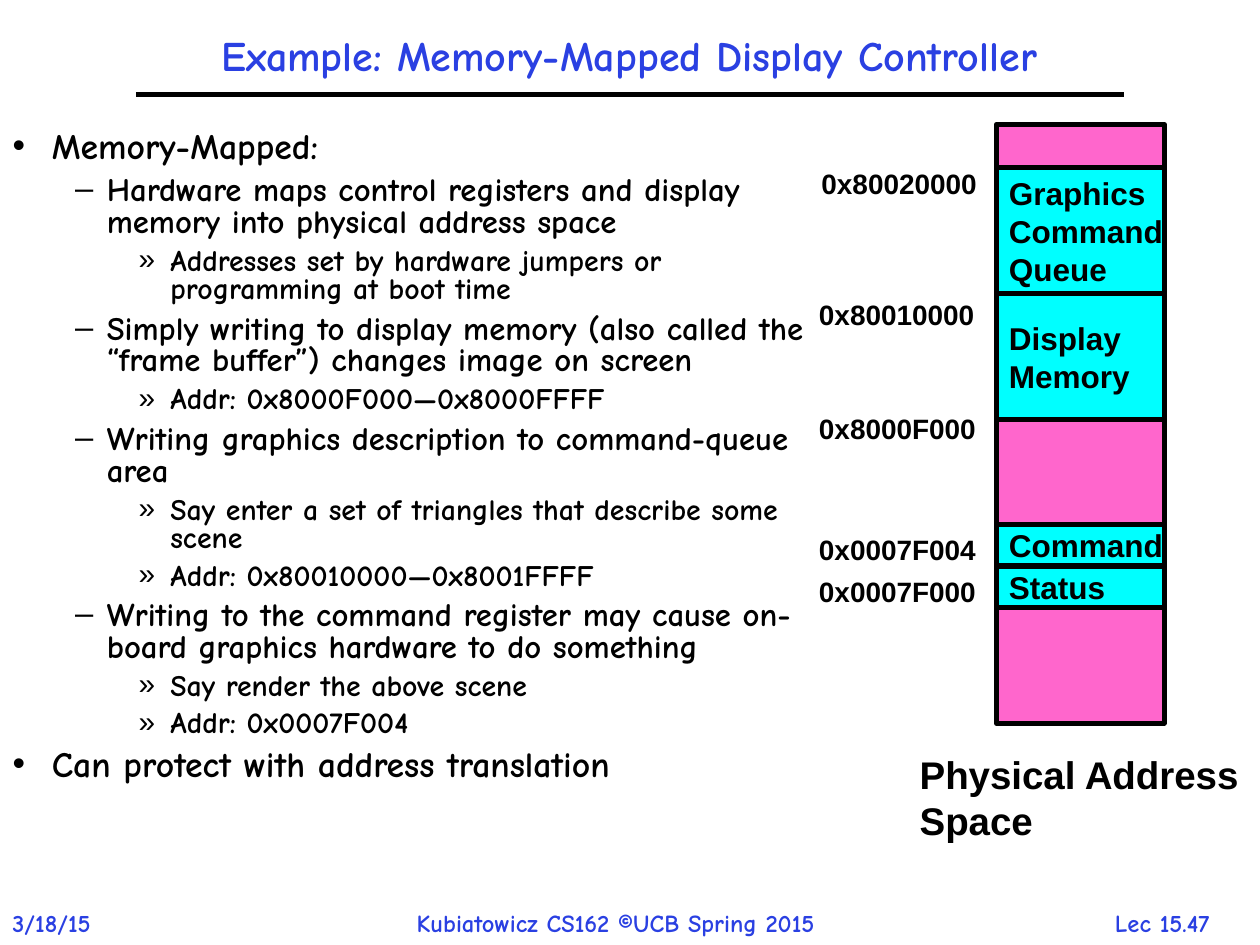
from lxml import etree
from pptx import Presentation
from pptx.dml.color import RGBColor
from pptx.enum.shapes import MSO_CONNECTOR, MSO_SHAPE
from pptx.enum.text import MSO_ANCHOR, MSO_AUTO_SIZE, PP_ALIGN
from pptx.oxml.ns import qn
from pptx.util import Cm, Pt

RECTANGLE = MSO_SHAPE.RECTANGLE
STRAIGHT = MSO_CONNECTOR.STRAIGHT
LEFT, CENTER = PP_ALIGN.LEFT, PP_ALIGN.CENTER
TOP, MIDDLE = MSO_ANCHOR.TOP, MSO_ANCHOR.MIDDLE
NO_AUTOSIZE = MSO_AUTO_SIZE.NONE

COLORS = {"blue": "2A40E2", "black": "000000", "pink": "FF66CC", "cyan": "00FFFF"}
COMIC, ARIAL = "Comic Neue", "Arial"

# Outline levels: bullet, size in points, left margin and hang in cm
LEVELS = [("•", 20.4, 0.79, 0.79), ("–", 18.7, 1.9, 0.64), ("»", 17, 3.18, 0.64)]
OUTLINE = [
    (0, "Memory-Mapped:"),
    (1, "Hardware maps control registers and display memory into physical address space"),
    (2, "Addresses set by hardware jumpers or programming at boot time"),
    (1, "Simply writing to display memory (also called the “frame buffer”) "
        "changes image on screen"),
    (2, "Addr: 0x8000F000—0x8000FFFF"),
    (1, "Writing graphics description to command-queue area"),
    (2, "Say enter a set of triangles that describe some scene"),
    (2, "Addr: 0x80010000—0x8001FFFF"),
    (1, "Writing to the command register may cause on-board graphics hardware "
        "to do something"),
    (2, "Say render the above scene"),
    (2, "Addr: 0x0007F004"),
    (0, "Can protect with address translation"),
]

# Memory map: top and height in cm
MAP_LEFT, MAP_WIDTH = 20.09, 3.38
REGIONS = [
    ("Display\nMemory", 5.92, 2.54),
    ("Status", 11.41, 0.84),
    ("Command", 10.57, 0.84),
    ("Graphics\nCommand\nQueue", 3.38, 2.54),
]
ADDRESSES = [
    ("0x80020000", 16.31, 3.23),
    ("0x80010000", 16.26, 5.87),
    ("0x8000F000", 16.26, 8.18),
    ("0x0007F004", 16.26, 10.62),
    ("0x0007F000", 16.26, 11.46),
]
FOOTERS = [
    ("Lec 15.47", 21.74, 3.38, CENTER),
    ("3/18/15", 0, 2.54, LEFT),
    ("Kubiatowicz CS162 ©UCB Spring 2015", 8.15, 9.83, LEFT),
]


def rgb(name):
    return RGBColor.from_string(COLORS[name])


def place(shape, left, top, width, height):
    shape.left, shape.top = Cm(left), Cm(top)
    shape.width, shape.height = Cm(width), Cm(height)


def format_runs(para, size, font, color):
    for span in para.runs:
        span.font.size = Pt(size)
        span.font.name = font
        span.font.bold = True
        span.font.color.rgb = rgb(color)


def set_text(shape, text, size, font, color, align=LEFT, hang=0):
    frame = shape.text_frame
    frame.text = text
    for para in frame.paragraphs:
        para.alignment = align
        if hang:
            set_indent(para, hang, hang)
        format_runs(para, size, font, color)


def set_indent(para, margin, hang):
    properties = para._p.get_or_add_pPr()
    properties.set("marL", str(Cm(margin)))
    properties.set("indent", str(-Cm(hang)))
    return properties


def add_label(page, text, bounds, size, font, color, align=LEFT, hang=0):
    box = page.shapes.add_textbox(*map(Cm, bounds))
    box.text_frame.word_wrap = False
    set_text(box, text, size, font, color, align, hang)


def add_region(page, top, height, fill, text=""):
    region = page.shapes.add_shape(
        RECTANGLE, Cm(MAP_LEFT), Cm(top), Cm(MAP_WIDTH), Cm(height))
    region.shadow.inherit = False
    region.fill.solid()
    region.fill.fore_color.rgb = rgb(fill)
    region.line.color.rgb = rgb("black")
    region.line.width = Pt(3)
    if text:
        region.text_frame.word_wrap = False
        region.text_frame.vertical_anchor = MIDDLE
        set_text(region, text, 18, ARIAL, "black", hang=0.64)


def add_rule(page, left, right, height):
    rule = page.shapes.add_connector(STRAIGHT, Cm(left), Cm(height), Cm(right), Cm(height))
    rule.line.color.rgb = rgb("black")
    rule.line.width = Pt(3)
    etree.SubElement(rule._element.spPr, qn("a:effectLst"))


def fill_title(title):
    place(title, 2.74, 0.43, 19.89, 1.47)
    title.text_frame.auto_size = NO_AUTOSIZE
    title.text_frame.vertical_anchor = MIDDLE
    set_text(title, "Example: Memory-Mapped Display Controller", 24, COMIC, "blue", CENTER)
    title.text_frame.paragraphs[0].line_spacing = 0.9


def fill_outline(body):
    place(body, 0, 2.54, 16.89, 15.24)
    frame = body.text_frame
    frame.auto_size = NO_AUTOSIZE
    frame.vertical_anchor = TOP
    frame.text = "\n".join(text for _, text in OUTLINE)
    for index, (para, (level, _)) in enumerate(zip(frame.paragraphs, OUTLINE)):
        bullet, size, margin, hang = LEVELS[level]
        para.level = level
        para.line_spacing = 0.8
        properties = set_indent(para, margin, hang)
        if index == 0:
            para.space_before = Pt(0)
        else:
            # Space before as a share of the text size
            before = etree.SubElement(properties, qn("a:spcBef"))
            etree.SubElement(before, qn("a:spcPct"), val="30000")
        etree.SubElement(properties, qn("a:buChar"), char=bullet)
        format_runs(para, size, COMIC, "black")


def main():
    deck = Presentation()
    deck.slide_width, deck.slide_height = Cm(25.4), Cm(19.05)
    page = deck.slides.add_slide(deck.slide_layouts[1])

    # Footer and title rule
    for text, left, width, align in FOOTERS:
        add_label(page, text, (left, 18.19, width, 0.86), 14, COMIC, "blue", align)
    add_rule(page, 2.74, 22.66, 1.9)

    # Title and outline
    fill_title(page.shapes.title)
    fill_outline(page.placeholders[1])

    # Physical address space
    add_region(page, 2.51, 12.07, "pink")
    for text, top, height in REGIONS:
        add_region(page, top, height, "cyan", text)
    for text, left, top in ADDRESSES:
        add_label(page, text, (left, top, 3.7, 0.81), 16, ARIAL, "black", hang=0.64)
    add_label(page, "Physical Address\nSpace", (18.29, 15.01, 7.01, 1.98),
              22, ARIAL, "black", hang=0.64)

    deck.save("out.pptx")


if __name__ == "__main__":
    main()
